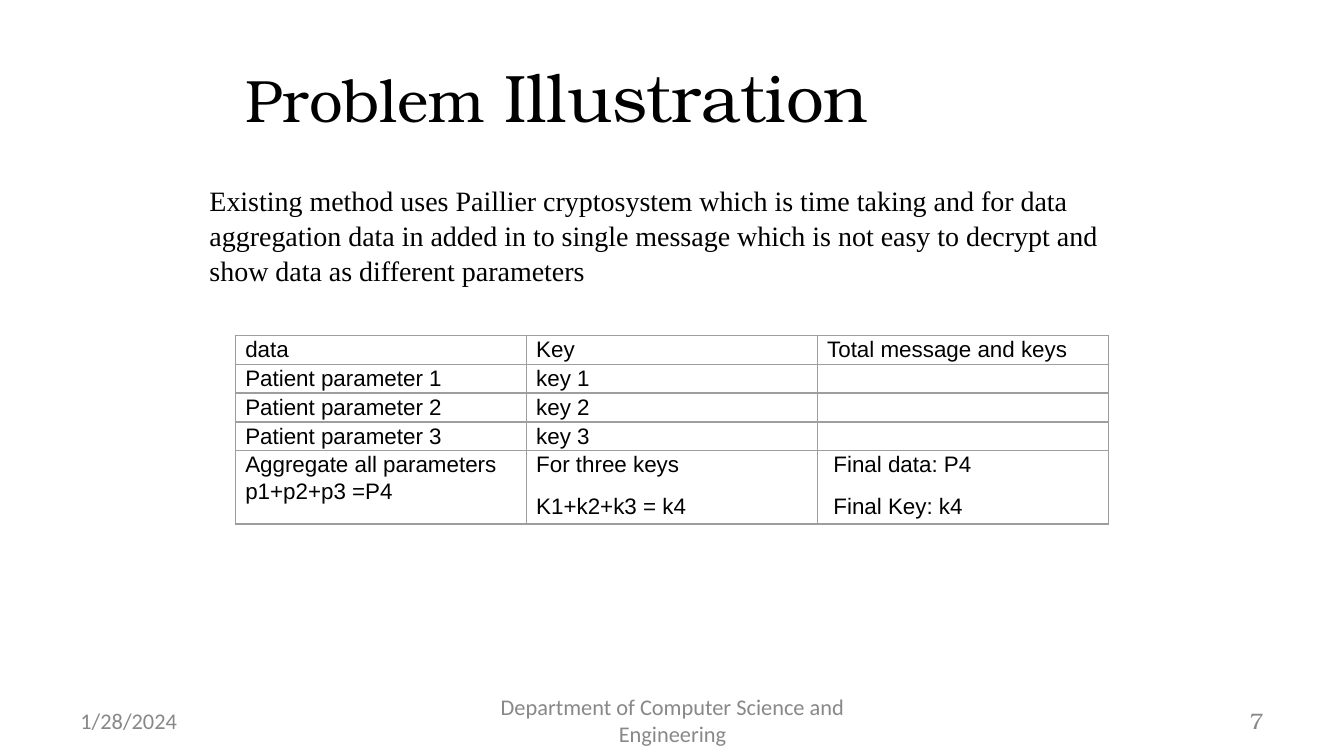
from dataclasses import dataclass

from lxml import etree
from pptx import Presentation
from pptx.dml.color import RGBColor
from pptx.enum.text import MSO_ANCHOR, MSO_AUTO_SIZE, PP_ALIGN
from pptx.oxml.ns import qn
from pptx.util import Emu, Pt

LEFT, CENTER, RIGHT = PP_ALIGN.LEFT, PP_ALIGN.CENTER, PP_ALIGN.RIGHT
TOP, MIDDLE = MSO_ANCHOR.TOP, MSO_ANCHOR.MIDDLE
NO_AUTOFIT = MSO_AUTO_SIZE.NONE
EMU_PER_PX = 4572
TITLE_ONLY = 5


@dataclass(frozen=True)
class Style:
    """Font, size and colour of a run."""
    font: str
    size: int
    color: str


@dataclass(frozen=True)
class Theme:
    """Type styles and line colours of the slide."""
    title_small: Style = Style("TeX Gyre Bonum", 32, "000000")
    title_large: Style = Style("TeX Gyre Bonum", 36, "000000")
    body: Style = Style("Times New Roman", 15, "000000")
    cell: Style = Style("Arial", 12, "000000")
    footer: Style = Style("Calibri", 12, "888888")
    number: Style = Style("TeX Gyre Bonum", 12, "888888")
    border: str = "9E9E9E"
    border_width: float = 0.75
    background: str = "FFFFFF"


@dataclass(frozen=True)
class Box:
    """Place and size in px."""
    left: int
    top: int
    width: int
    height: int

    def emu(self) -> tuple[Emu, Emu, Emu, Emu]:
        """Return the four lengths in EMU."""
        return px(self.left), px(self.top), px(self.width), px(self.height)


@dataclass(frozen=True)
class Label:
    """A text box with one run."""
    box: Box
    text: str
    style: Style
    align: PP_ALIGN = LEFT
    anchor: MSO_ANCHOR = MIDDLE
    line_spacing: float = 1.0


THEME = Theme()
TITLE_BOX = Box(160, 74, 1338, 138)
TITLE_RUNS = (("Problem ", THEME.title_small), ("Illustration", THEME.title_large))
LABELS = (
    Label(Box(292, 262, 1456, 218),
          "Existing method uses Paillier cryptosystem which is time taking and for data "
          "aggregation data in added in to single message which is not easy to decrypt and "
          "show data as different parameters",
          THEME.body, anchor=TOP, line_spacing=1.04),
    Label(Box(100, 1042, 466, 60), "1/28/2024", THEME.footer),
    Label(Box(684, 1042, 634, 60), "Department of Computer Science and Engineering",
          THEME.footer, CENTER),
    Label(Box(1434, 1042, 466, 60), "7", THEME.number, RIGHT),
)
TABLE_ROWS = (
    ("data", "Key", "Total message and keys"),
    *((f"Patient parameter {number}", f"key {number}", "") for number in (1, 2, 3)),
    ("Aggregate all parameters p1+p2+p3 =P4", "For three keys\nK1+k2+k3 = k4",
     " Final data: P4\n Final Key: k4"),
)
TABLE_LEFT, TABLE_TOP, COLUMN_WIDTH = 350, 499, 433
ROW_HEIGHTS = (43, 43, 43, 43, 109)
CELL_INSET = 15


def px(length: int) -> Emu:
    """Convert px to EMU."""
    return Emu(length * EMU_PER_PX)


def add_run(paragraph, text: str, style: Style) -> None:
    """Append a styled run."""
    run = paragraph.add_run()
    run.text = text
    run.font.name = style.font
    run.font.size = Pt(style.size)
    run.font.color.rgb = RGBColor.from_string(style.color)


def format_title(title) -> None:
    """Place and fill the title placeholder."""
    title.left, title.top, title.width, title.height = TITLE_BOX.emu()
    frame = title.text_frame
    frame.auto_size = NO_AUTOFIT
    frame.vertical_anchor = MIDDLE
    paragraph = frame.paragraphs[0]
    paragraph.alignment = CENTER
    for text, style in TITLE_RUNS:
        add_run(paragraph, text, style)


def add_label(slide, label: Label) -> None:
    """Draw a text box."""
    frame = slide.shapes.add_textbox(*label.box.emu()).text_frame
    frame.word_wrap = True
    frame.vertical_anchor = label.anchor
    paragraph = frame.paragraphs[0]
    paragraph.alignment = label.align
    paragraph.line_spacing = label.line_spacing
    add_run(paragraph, label.text, label.style)


def add_borders(cell) -> None:
    """Draw a line on all four sides of a cell."""
    properties = cell._tc.get_or_add_tcPr()
    for side in ("lnL", "lnR", "lnT", "lnB"):
        line = etree.SubElement(properties, qn(f"a:{side}"), w=str(Pt(THEME.border_width)))
        fill = etree.SubElement(line, qn("a:solidFill"))
        etree.SubElement(fill, qn("a:srgbClr"), val=THEME.border)


def fill_cell(cell, text: str) -> None:
    """Format a cell and write one paragraph per line of text."""
    add_borders(cell)
    cell.fill.background()
    cell.margin_left = cell.margin_right = px(CELL_INSET)
    cell.margin_top = cell.margin_bottom = 0
    frame = cell.text_frame
    for index, line in enumerate(text.split("\n")):
        paragraph = frame.add_paragraph() if index else frame.paragraphs[0]
        paragraph.line_spacing = 1.07
        paragraph.space_after = Pt(8)
        if line:
            add_run(paragraph, line, THEME.cell)
        else:
            etree.SubElement(paragraph._p, qn("a:endParaRPr"), sz=str(THEME.cell.size * 100))


def add_key_table(slide) -> None:
    """Draw the table of parameters and keys."""
    columns = len(TABLE_ROWS[0])
    box = Box(TABLE_LEFT, TABLE_TOP, columns * COLUMN_WIDTH, sum(ROW_HEIGHTS))
    table = slide.shapes.add_table(len(TABLE_ROWS), columns, *box.emu()).table
    table.first_row = table.horz_banding = False
    for column in table.columns:
        column.width = px(COLUMN_WIDTH)
    for row, height, texts in zip(table.rows, ROW_HEIGHTS, TABLE_ROWS):
        row.height = px(height)
        for cell, text in zip(row.cells, texts):
            fill_cell(cell, text)


def main() -> None:
    """Build and save the slide."""
    presentation = Presentation()
    presentation.slide_width, presentation.slide_height = px(2000), px(1125)
    slide = presentation.slides.add_slide(presentation.slide_layouts[TITLE_ONLY])
    slide.background.fill.solid()
    slide.background.fill.fore_color.rgb = RGBColor.from_string(THEME.background)
    format_title(slide.shapes.title)
    for label in LABELS:
        add_label(slide, label)
    add_key_table(slide)
    presentation.save("out.pptx")


if __name__ == "__main__":
    main()
